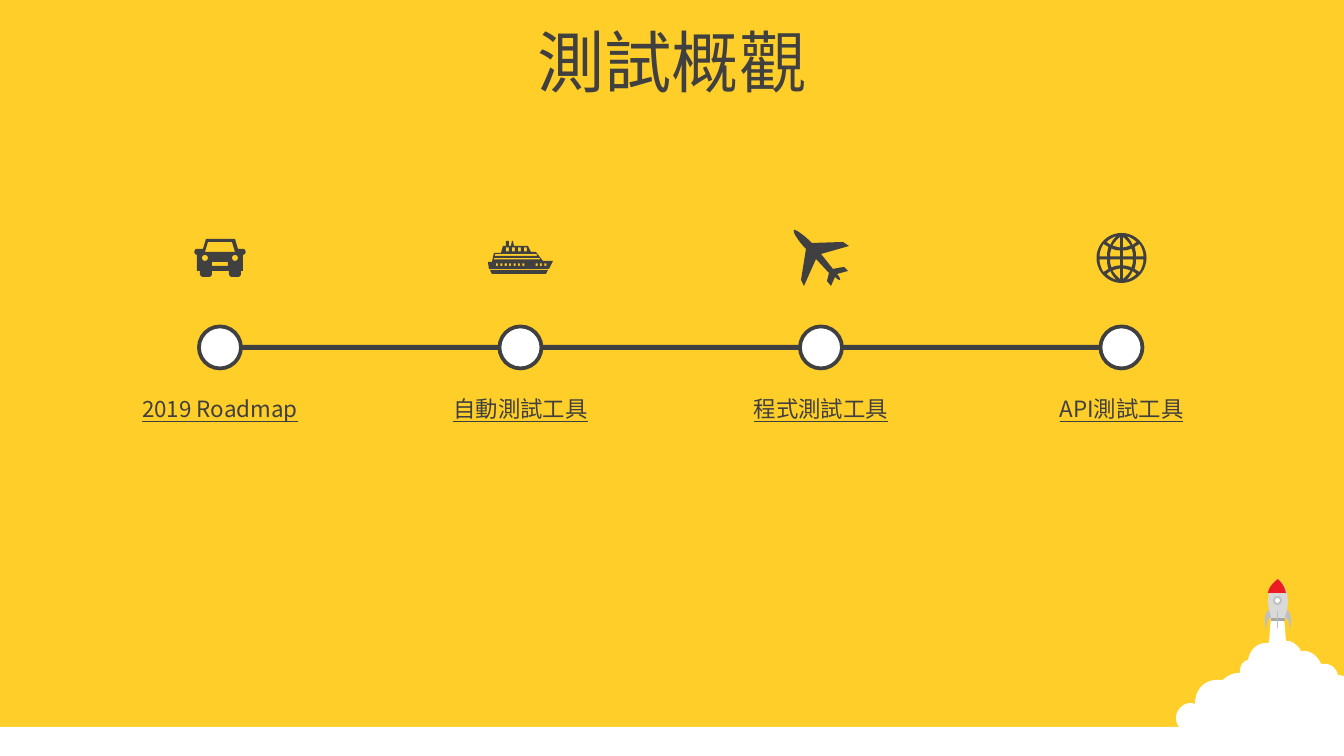
from math import cos, pi, sin

from lxml.etree import SubElement
from pptx import Presentation
from pptx.dml.color import RGBColor
from pptx.enum.shapes import MSO_SHAPE as SHAPE
from pptx.enum.text import MSO_ANCHOR as ANCHOR, PP_ALIGN as ALIGN
from pptx.oxml.ns import qn
from pptx.util import Pt

PX = 914400 / 134.4
WIDTH, HEIGHT = 1344, 756
FONT = "Noto Sans CJK SC"
YELLOW, WHITE, DARK, LABEL = "FFCE29", "FFFFFF", "404040", "3F3F3F"
LIGHT, MID, SILVER, RED = "D9D9D9", "A6A6A6", "BFBFBF", "ED1C24"

TITLE = "測試概觀"
STOPS = ["2019 Roadmap", "自動測試工具", "程式測試工具", "API測試工具"]
FIRST_X, STEP, LINE_Y, DOT = 220, 300.5, 347.5, 42


def rect(x, y, w, h):
    return [(x, y), (x + w, y), (x + w, y + h), (x, y + h)]


def circle(cx, cy, r, n=40):
    return [(cx + r * cos(2 * pi * i / n), cy + r * sin(2 * pi * i / n)) for i in range(n)]


# Outlines: two numbers are a corner, six are a Bezier curve
CLOUD = [
    (1271, 617), (1284, 617), (1286, 641), (1289, 641),
    (1293, 642, 1297, 645, 1300, 649), (1301, 652), (1302, 651),
    (1310, 650, 1318, 656, 1321, 664), (1322, 664),
    (1331, 663, 1336, 668, 1338, 675), (1344, 676), (1344, 753), (1325, 747),
    (1318, 753, 1308, 752, 1302, 745), (1296, 753, 1286, 752, 1278, 746),
    (1262, 757, 1242, 757, 1227, 741), (1216, 745, 1202, 742, 1200, 732),
    (1197, 733, 1194, 733, 1191, 733), (1183, 733, 1176, 726, 1176, 718),
    (1176, 710, 1183, 703, 1191, 703), (1195, 704),
    (1195, 690, 1204, 680, 1217, 680), (1223, 680),
    (1228, 675, 1233, 673, 1240, 673), (1240, 671),
    (1240, 666, 1243, 661, 1248, 660), (1250, 649, 1258, 643, 1266, 643), (1269, 643),
]
HULL = [(1271, 621), (1269, 609, 1263, 591, 1278, 579), (1293, 592, 1287, 610, 1285, 621)]
NOSE = [(1278, 579), (1282, 583, 1285, 587, 1286, 593), (1268, 593),
        (1269, 587, 1273, 583, 1278, 579)]
FIN = [(1269, 610), (1271, 617), (1266, 620, 1267, 626, 1266, 629),
       (1265, 625, 1263, 614, 1269, 610)]
FIN_RIGHT = [[2 * 1278 - v if i % 2 == 0 else v for i, v in enumerate(node)] for node in FIN]

CAR = [
    [(206, 239), (235, 239), (238, 249), (243, 249), (246, 249, 247, 254, 243, 255),
     (243, 271), (241, 271), (241, 275), (239, 277), (231, 277), (229, 275), (229, 271),
     (212, 271), (212, 275), (210, 277), (202, 277), (200, 275), (200, 271), (197, 271),
     (197, 255), (193, 254, 194, 249, 197, 249), (203, 249)],
    [(208, 242), (232, 242), (235, 252), (205, 252)],
    circle(205, 258, 3), circle(235, 258, 3), rect(212, 262, 16, 4),
]
SHIP = [
    [(506, 241), (509, 241), (509, 246), (511, 246), (512, 241), (513, 241), (514, 246),
     (528, 246), (531, 252), (536, 252), (543, 261), (553, 261), (549, 269), (489, 269),
     (488, 262), (492, 262), (494, 253), (501, 253), (503, 246), (506, 246)],
    [(490, 270), (548, 270), (546, 274), (492, 274)],
    rect(494, 258, 46, 1.5), rect(495, 254, 42, 2),
    *[rect(506 + 6 * i, 247.5, 3, 4) for i in range(4)],
    *[rect(496 + 4.4 * i, 263.5, 2, 2.5) for i in (0, 1, 2, 3, 4, 5, 6, 9, 10, 11)],
]
PLANE = [[
    (848, 271), (837, 274), (839, 276, 841, 280, 840, 280), (839, 280, 837, 279, 835, 277),
    (831, 286), (827, 281), (829, 273), (816, 259), (804, 286), (801, 280), (806, 249),
    (800, 243, 792, 232, 794, 230), (796, 229, 806, 237, 812, 243), (843, 242),
    (849, 246), (821, 254), (833, 269), (837, 268, 844, 267, 844, 267),
]]
# Openings in one quarter of the globe, measured from its centre
GLOBE_X, GLOBE_Y, GLOBE_R = 1121.5, 258, 25
QUARTER = [
    [(1.5, 21), (1.5, 10.5), (5, 11, 9, 12.5, 9, 12.5), (7, 16, 4, 19, 1.5, 21)],
    [(1.5, 7.5), (1.5, 1.5), (11.5, 1.5), (11.5, 4, 11, 7, 10, 9.5), (7, 8, 4, 7.5, 1.5, 7.5)],
    [(5, 22), (8, 19, 10, 16, 11, 13), (15, 16), (12, 19, 8, 21, 5, 22)],
    [(18, 14), (13, 11), (14, 8, 14.5, 5, 14.5, 1.5), (22, 1.5), (22, 6, 20, 11, 18, 14)],
]
GLOBE = [circle(GLOBE_X, GLOBE_Y, GLOBE_R)] + [
    [[(GLOBE_X + sx * v) if i % 2 == 0 else (GLOBE_Y + sy * v) for i, v in enumerate(node)]
     for node in opening]
    for sx in (-1, 1) for sy in (-1, 1) for opening in QUARTER
]

prs = Presentation()
prs.slide_width, prs.slide_height = round(WIDTH * PX), round(HEIGHT * PX)
slide = prs.slides.add_slide(prs.slide_layouts[6])
shapes = slide.shapes


def rgb(value):
    return RGBColor.from_string(value)


def emu(*lengths):
    return [round(v * PX) for v in lengths]


def paint(shape, fill, line=None, weight=1):
    shape.shadow.inherit = False
    shape.fill.solid()
    shape.fill.fore_color.rgb = rgb(fill)
    if line:
        shape.line.color.rgb = rgb(line)
        shape.line.width = Pt(weight)
    else:
        shape.line.fill.background()
    return shape


def preset(kind, box, *style):
    return paint(shapes.add_shape(kind, *emu(*box)), *style)


def flatten(outline, steps=10):
    points = []
    for node in outline:
        if len(node) == 2:
            points.append(tuple(node))
            continue
        ends = [points[-1], node[:2], node[2:4], node[4:]]
        for t in (i / steps for i in range(1, steps + 1)):
            weights = ((1 - t) ** 3, 3 * t * (1 - t) ** 2, 3 * t * t * (1 - t), t ** 3)
            points.append(tuple(sum(w * e[k] for w, e in zip(weights, ends)) for k in (0, 1)))
    return [emu(*point) for point in points]


def freeform(outlines, fill):
    first, *others = [flatten(outline) for outline in outlines]
    builder = shapes.build_freeform(*first[0])
    builder.add_line_segments(first[1:])
    for points in others:
        builder.move_to(*points[0])
        builder.add_line_segments(points[1:])
    return paint(builder.convert_to_shape(), fill)


def text(content, box, size, color, underline=None, anchor=ANCHOR.TOP):
    frame = shapes.add_textbox(*emu(*box)).text_frame
    frame.word_wrap = True
    frame.vertical_anchor = anchor
    para = frame.paragraphs[0]
    para.text, para.alignment = content, ALIGN.CENTER
    font = para.font
    font.size, font.underline = Pt(size), underline
    font.color.rgb = rgb(color)
    font.name = FONT
    # East Asian typeface
    SubElement(para._p.pPr.find(qn("a:defRPr")), qn("a:ea"), typeface=FONT)


# Background and ground strip
slide.background.fill.solid()
slide.background.fill.fore_color.rgb = rgb(YELLOW)
preset(SHAPE.RECTANGLE, (0, 727, WIDTH, HEIGHT - 727), WHITE)

# Rocket
for outline, color in [(CLOUD, WHITE), (HULL, LIGHT), (rect(1271, 618, 14, 3), MID), (NOSE, RED)]:
    freeform([outline], color)
preset(SHAPE.OVAL, (1274, 597, 7, 7), WHITE, SILVER)
preset(SHAPE.RECTANGLE, (1277, 611, 1, 17), SILVER)
for fin in (FIN, FIN_RIGHT):
    freeform([fin], SILVER)

# Timeline, title and icons
preset(SHAPE.RECTANGLE, (FIRST_X, LINE_Y - 2.5, 3 * STEP, 5), DARK)
text(TITLE, (0, 18, WIDTH, 85), 36, DARK, anchor=ANCHOR.MIDDLE)
for icon in (CAR, SHIP, PLANE, GLOBE):
    freeform(icon, DARK)

# Stops and their labels
for i, stop in enumerate(STOPS):
    x = FIRST_X + i * STEP
    preset(SHAPE.OVAL, (x - DOT / 2, LINE_Y - DOT / 2, DOT, DOT), WHITE, DARK, 2)
    text(stop, (x - 97.5, 389, 195, 40), 12, LABEL, underline=True)

prs.save("out.pptx")
